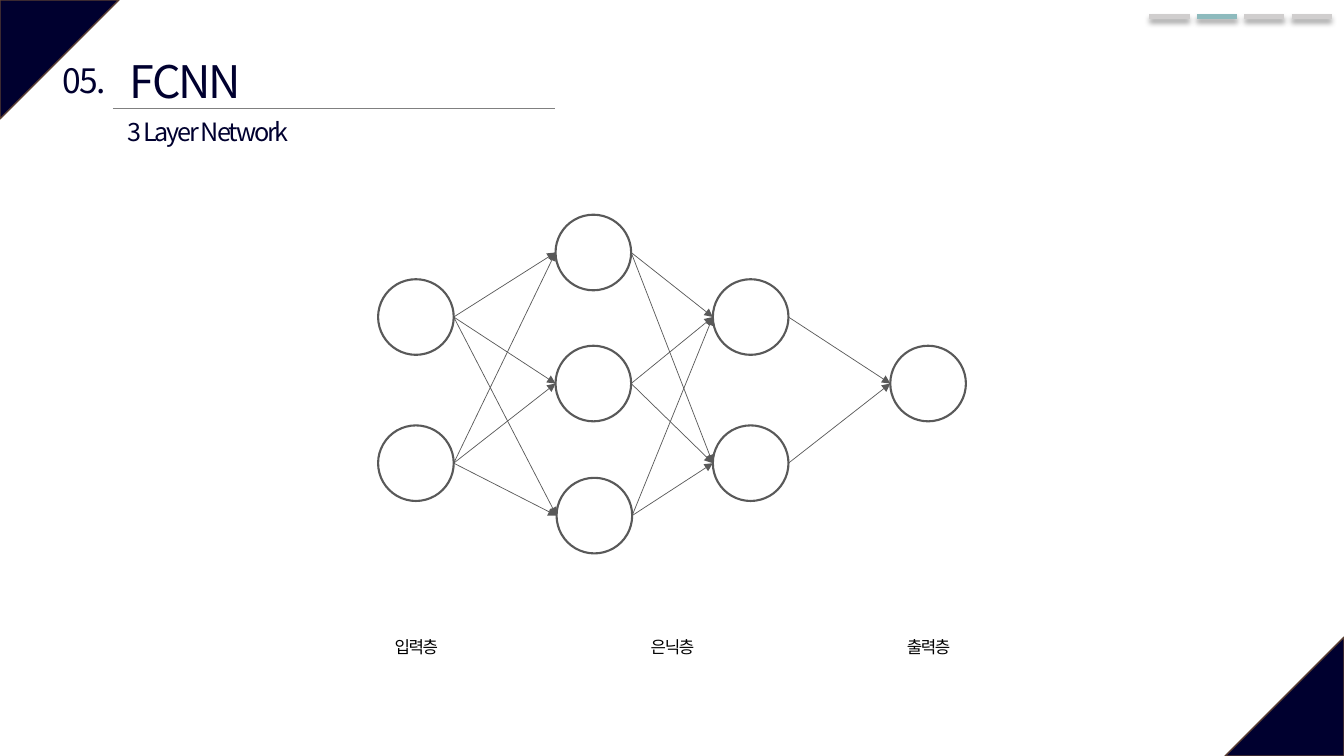
from dataclasses import dataclass
from itertools import pairwise, product

from lxml import etree
from pptx import Presentation
from pptx import util as u
from pptx.dml.color import RGBColor
from pptx.enum import shapes, text
from pptx.oxml import ns
from pptx.shapes.autoshape import Shape
from pptx.shapes.connector import Connector
from pptx.slide import Slide


@dataclass(frozen=True)
class Theme:
    font: str = "Noto Sans CJK KR"
    navy: str = "00002F"
    brown: str = "5B3F33"
    rule: str = "808080"
    inactive: str = "D0CECE"
    active: str = "8DBABD"
    ink: str = "595959"
    white: str = "FFFFFF"
    black: str = "000000"
    title_size: float = 32
    number_size: float = 24
    subtitle_size: float = 18
    label_size: float = 12


@dataclass(frozen=True)
class Corner:
    left: float
    top: float
    rotation: float


@dataclass(frozen=True)
class Neuron:
    left: float
    top: float


@dataclass(frozen=True)
class Caption:
    words: str
    left: float
    top: float
    width: float
    height: float
    size: float
    color: str
    spacing: float = -1.5
    centered: bool = False
    wrap: bool = True


THEME = Theme()
CORNER_SIZE = 1.18
NEURON_SIZE = 0.75
LEFT_SITE, RIGHT_SITE = 2, 6

CORNERS = [Corner(0, 0, 90), Corner(12.15, 6.32, 270)]
LAYERS = [
    [Neuron(3.75, 2.77), Neuron(3.75, 4.22)],
    [Neuron(5.51, 2.13), Neuron(5.51, 3.43), Neuron(5.52, 4.74)],
    [Neuron(7.07, 2.77), Neuron(7.07, 4.22)],
    [Neuron(8.83, 3.43)],
]
HEADINGS = [
    Caption("FCNN", 1.19, 0.48, 5.03, 0.64, THEME.title_size, THEME.navy),
    Caption("05.", 0.5, 0.55, 0.67, 0.5, THEME.number_size, THEME.navy,
            centered=True, wrap=False),
    Caption("3 Layer Network", 1.17, 1.1, 2.36, 0.4, THEME.subtitle_size, THEME.navy),
]
LAYER_LABELS = [
    Caption(words, 3.62 + 2.54 * index, 6.27, 1.02, 0.3, THEME.label_size,
            THEME.black, spacing=-1, centered=True)
    for index, words in enumerate(["입력층", "은닉층", "출력층"])
]
PROGRESS_COLORS = [THEME.inactive, THEME.active, THEME.inactive, THEME.inactive]


def add_filled_shape(slide: Slide, kind: shapes.MSO_SHAPE, left: float, top: float,
                     size: float, fill: str, line: str, line_width: float) -> Shape:
    shape = slide.shapes.add_shape(
        kind, u.Inches(left), u.Inches(top), u.Inches(size), u.Inches(size))
    shape.shadow.inherit = False
    shape.fill.solid()
    shape.fill.fore_color.rgb = RGBColor.from_string(fill)
    shape.line.color.rgb = RGBColor.from_string(line)
    shape.line.width = u.Pt(line_width)
    return shape


def add_corner(slide: Slide, corner: Corner) -> None:
    triangle = add_filled_shape(
        slide, shapes.MSO_SHAPE.ISOSCELES_TRIANGLE, corner.left, corner.top,
        CORNER_SIZE, THEME.navy, THEME.brown, 1)
    triangle.adjustments[0] = 0
    triangle.rotation = corner.rotation


def add_neuron(slide: Slide, neuron: Neuron) -> Shape:
    return add_filled_shape(
        slide, shapes.MSO_SHAPE.OVAL, neuron.left, neuron.top,
        NEURON_SIZE, THEME.white, THEME.ink, 1.5)


def add_line(slide: Slide, start_x: u.Length, start_y: u.Length, end_x: u.Length,
             end_y: u.Length, color: str, width: float) -> Connector:
    line = slide.shapes.add_connector(
        shapes.MSO_CONNECTOR.STRAIGHT, start_x, start_y, end_x, end_y)
    line.line.color.rgb = RGBColor.from_string(color)
    line.line.width = u.Pt(width)
    etree.SubElement(line._element.spPr, ns.qn("a:effectLst"))
    return line


def add_rule(slide: Slide, left: float, right: float, top: float,
             color: str, width: float) -> Connector:
    return add_line(slide, u.Inches(left), u.Inches(top), u.Inches(right),
                    u.Inches(top), color, width)


def add_progress_bar(slide: Slide, index: int, color: str) -> None:
    left = 11.4 + 0.47 * index
    bar = add_rule(slide, left, left + 0.4, 0.16, color, 3.5)
    effects = bar._element.spPr.find(ns.qn("a:effectLst"))
    shadow = etree.SubElement(
        effects, ns.qn("a:outerShdw"), blurRad=str(u.Pt(4)), dist=str(u.Pt(3)),
        dir="5400000", algn="t", rotWithShape="0")
    shade = etree.SubElement(shadow, ns.qn("a:srgbClr"), val=THEME.black)
    etree.SubElement(shade, ns.qn("a:alpha"), val="40000")


def add_arrow(slide: Slide, source: Shape, target: Shape) -> None:
    arrow = add_line(
        slide, source.left + source.width, source.top + source.height // 2,
        target.left, target.top + target.height // 2, THEME.ink, 0.5)
    arrow._connect_begin_to(source, RIGHT_SITE)
    arrow._connect_end_to(target, LEFT_SITE)
    etree.SubElement(arrow.line._get_or_add_ln(), ns.qn("a:tailEnd"), type="triangle")


def add_caption(slide: Slide, caption: Caption) -> None:
    box = slide.shapes.add_textbox(
        u.Inches(caption.left), u.Inches(caption.top),
        u.Inches(caption.width), u.Inches(caption.height))
    frame = box.text_frame
    frame.word_wrap = caption.wrap
    frame.auto_size = text.MSO_AUTO_SIZE.SHAPE_TO_FIT_TEXT
    paragraph = frame.paragraphs[0]
    paragraph.text = caption.words
    paragraph.alignment = text.PP_ALIGN.CENTER if caption.centered else text.PP_ALIGN.LEFT
    paragraph.font.name = THEME.font
    paragraph.font.size = u.Pt(caption.size)
    paragraph.font.color.rgb = RGBColor.from_string(caption.color)
    properties = paragraph._p.pPr.find(ns.qn("a:defRPr"))
    properties.set("spc", str(int(caption.spacing * 100)))
    etree.SubElement(properties, ns.qn("a:ea"), typeface=THEME.font)


def main() -> None:
    presentation = Presentation()
    presentation.slide_width = u.Inches(13.33)
    presentation.slide_height = u.Inches(7.5)
    slide = presentation.slides.add_slide(presentation.slide_layouts[6])

    for corner in CORNERS:
        add_corner(slide, corner)
    add_rule(slide, 1.12, 5.5, 1.08, THEME.rule, 0.5)
    for index, color in enumerate(PROGRESS_COLORS):
        add_progress_bar(slide, index, color)

    layers = [[add_neuron(slide, neuron) for neuron in layer] for layer in LAYERS]
    for sources, targets in pairwise(layers):
        for source, target in product(sources, targets):
            add_arrow(slide, source, target)

    for caption in HEADINGS + LAYER_LABELS:
        add_caption(slide, caption)
    presentation.save("out.pptx")


if __name__ == "__main__":
    main()
